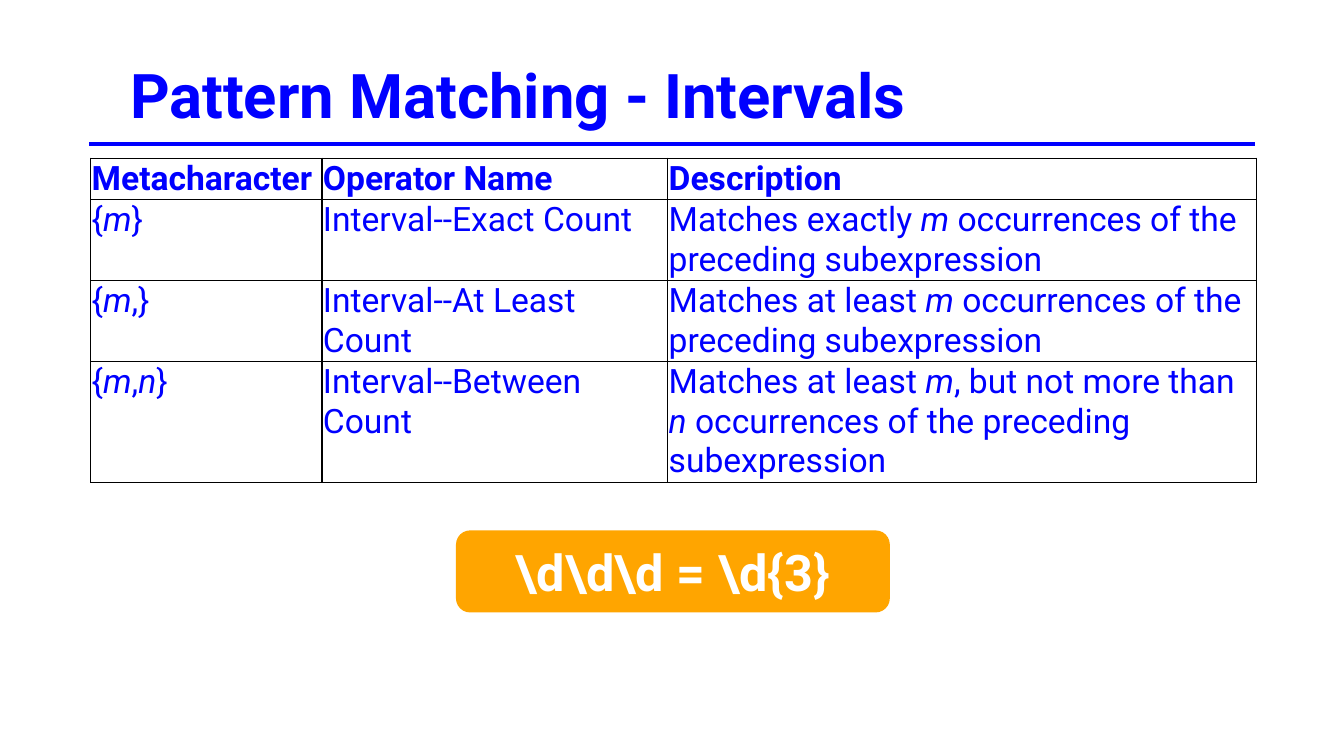
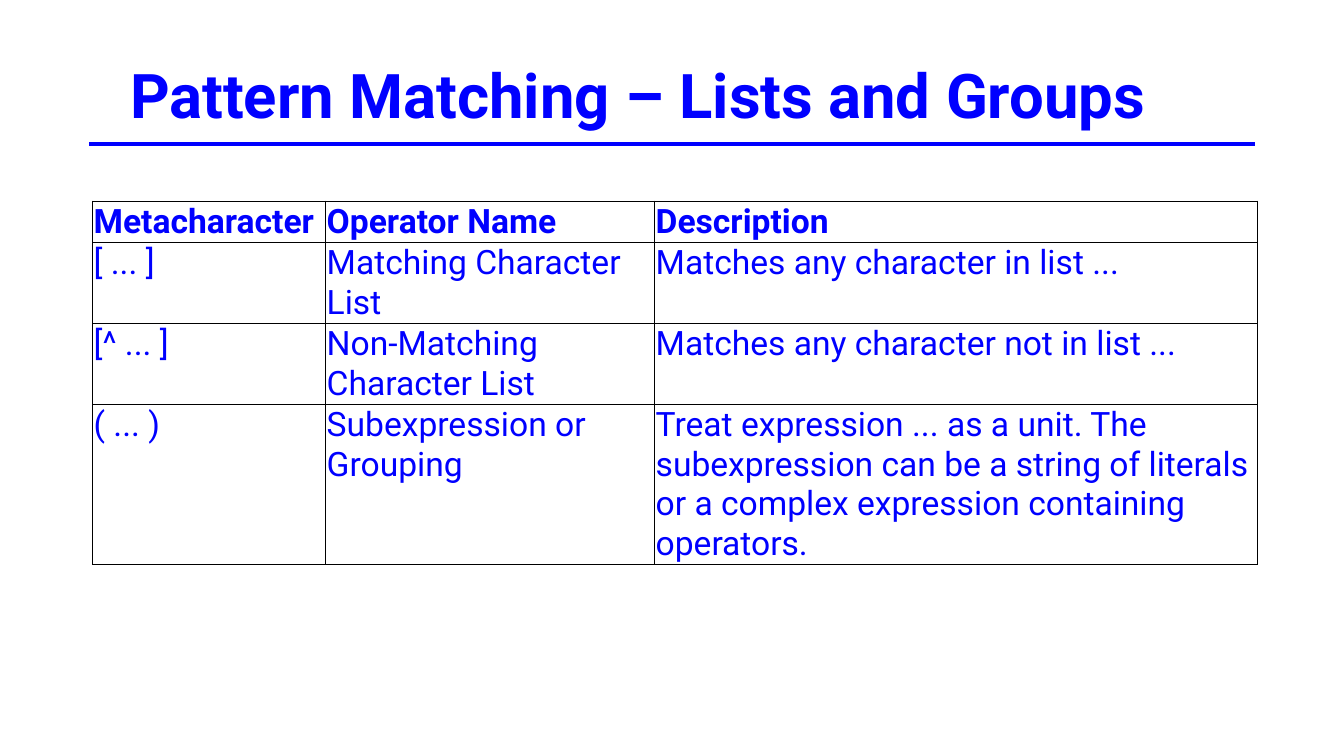
"""Build two slides on pattern matching, each with a table of operators."""
import pptx
import pptx.dml.color
import pptx.enum.shapes
import pptx.enum.text
import pptx.oxml
import pptx.oxml.ns
import pptx.util

Pt = pptx.util.Pt
Align = pptx.enum.text.PP_ALIGN
Anchor = pptx.enum.text.MSO_ANCHOR

BLUE, ORANGE, WHITE, BLACK = "0000FF", "FFA500", "FFFFFF", "000000"
HEAD = ("Metacharacter", "Operator Name", "Description")
SLIDES = [
    {
        "title": "Pattern Matching - Intervals",
        "wide": 784,
        "spot": (64.8, 113),
        "cols": (165.2, 247, 420.3),
        "rows": [
            (2, "{*m*}", "Interval--Exact Count",
             "Matches exactly *m* occurrences of the preceding subexpression"),
            (2, "{*m*,}", "Interval--At Least Count",
             "Matches at least *m* occurrences of the preceding subexpression"),
            (3, "{*m*,*n*}", "Interval--Between Count",
             "Matches at least *m*, but not more than *n* occurrences "
             "of the preceding subexpression"),
        ],
        "badge": r"\d\d\d = \d{3}",
    },
    {
        "title": "Pattern Matching – Lists and Groups",
        "wide": 833,
        "spot": (66.2, 143.7),
        "cols": (166.5, 235, 430.8),
        "rows": [
            (2, "[ ... ]", "Matching Character List",
             "Matches any character in list ..."),
            (2, "[^ ... ]", "Non-Matching Character List",
             "Matches any character not in list ..."),
            (4, "( ... )", "Subexpression or Grouping",
             "Treat expression ... as a unit. The subexpression can be a string "
             "of literals or a complex expression containing operators."),
        ],
    },
]
TITLE = {"size": Pt(44), "bold": True}
LABEL = {"size": Pt(24), "bold": True}
BODY = {"size": Pt(24), "bold": False}
BIG = {"size": Pt(36), "bold": True}
INSETS = {f"margin_{side}": Pt(0.72) for side in ("left", "right", "top", "bottom")}
LINE, PAD = 28.13, 1.5


def color(code):
    return pptx.dml.color.RGBColor.from_string(code)


def assign(item, values):
    for name, value in values.items():
        setattr(item, name, value)


def paint(fill, code):
    fill.solid()
    fill.fore_color.rgb = color(code)


def write(frame, text, style, code=BLUE, align=Align.LEFT):
    """Write text in which stars enclose italics."""
    para = frame.paragraphs[0]
    para.alignment = align
    for spot, part in enumerate(text.split("*")):
        if part:
            run = para.add_run()
            run.text = part
            assign(run.font, {**style, "name": "Roboto", "italic": spot % 2 == 1})
            run.font.color.rgb = color(code)


def border(cell):
    props = cell._tc.get_or_add_tcPr()
    space = pptx.oxml.ns.nsdecls("a")
    for spot, side in enumerate("LRTB"):
        props.insert(spot, pptx.oxml.parse_xml(
            f'<a:ln{side} {space} w="{Pt(1)}"><a:solidFill>'
            f'<a:srgbClr val="{BLACK}"/></a:solidFill></a:ln{side}>'))


def add_head(slide, text, wide):
    title = slide.shapes.title
    assign(title, {"left": Pt(85.7), "top": Pt(36.7),
                   "width": Pt(wide), "height": Pt(55.4)})
    paint(title.fill, WHITE)
    assign(title.text_frame, {"vertical_anchor": Anchor.TOP, "word_wrap": True,
                              "auto_size": pptx.enum.text.MSO_AUTO_SIZE.NONE})
    write(title.text_frame, text, TITLE)
    rule = slide.shapes.add_connector(
        pptx.enum.shapes.MSO_CONNECTOR.STRAIGHT,
        Pt(63.6), Pt(103), Pt(896.4), Pt(103))
    rule.line.width = Pt(3)
    rule.line.color.rgb = color(BLUE)
    rule._element.spPr.append(pptx.oxml.parse_xml(
        f'<a:effectLst {pptx.oxml.ns.nsdecls("a")}/>'))


def add_grid(slide, spot, cols, rows):
    lines = [(1, *HEAD), *rows]
    highs = [LINE * line[0] + PAD for line in lines]
    left, top = spot
    table = slide.shapes.add_table(
        len(lines), len(cols), Pt(left), Pt(top),
        Pt(sum(cols)), Pt(sum(highs))).table
    assign(table, {"first_row": False, "horz_banding": False})
    for col, wide in zip(table.columns, cols):
        col.width = Pt(wide)
    for row, high, (_, *texts) in zip(table.rows, highs, lines):
        head = row is not None and tuple(texts) == HEAD
        row.height = Pt(high)
        for cell, text in zip(row.cells, texts):
            assign(cell, {**INSETS, "vertical_anchor":
                          Anchor.BOTTOM if head else Anchor.TOP})
            cell.fill.background()
            border(cell)
            write(cell.text_frame, text, LABEL if head else BODY)


def add_badge(slide, text):
    badge = slide.shapes.add_shape(
        pptx.enum.shapes.MSO_SHAPE.ROUNDED_RECTANGLE,
        Pt(326.2), Pt(379.4), Pt(308.9), Pt(57.6))
    badge.shadow.inherit = False
    paint(badge.fill, ORANGE)
    paint(badge.line.fill, ORANGE)
    badge.line.width = Pt(1)
    badge.text_frame.vertical_anchor = Anchor.MIDDLE
    write(badge.text_frame, text, BIG, WHITE, Align.CENTER)


deck = pptx.Presentation()
assign(deck, {"slide_width": Pt(960), "slide_height": Pt(540)})
for page in SLIDES:
    slide = deck.slides.add_slide(deck.slide_layouts[5])
    paint(slide.background.fill, WHITE)
    add_head(slide, page["title"], page["wide"])
    add_grid(slide, page["spot"], page["cols"], page["rows"])
    if "badge" in page:
        add_badge(slide, page["badge"])
deck.save("out.pptx")
